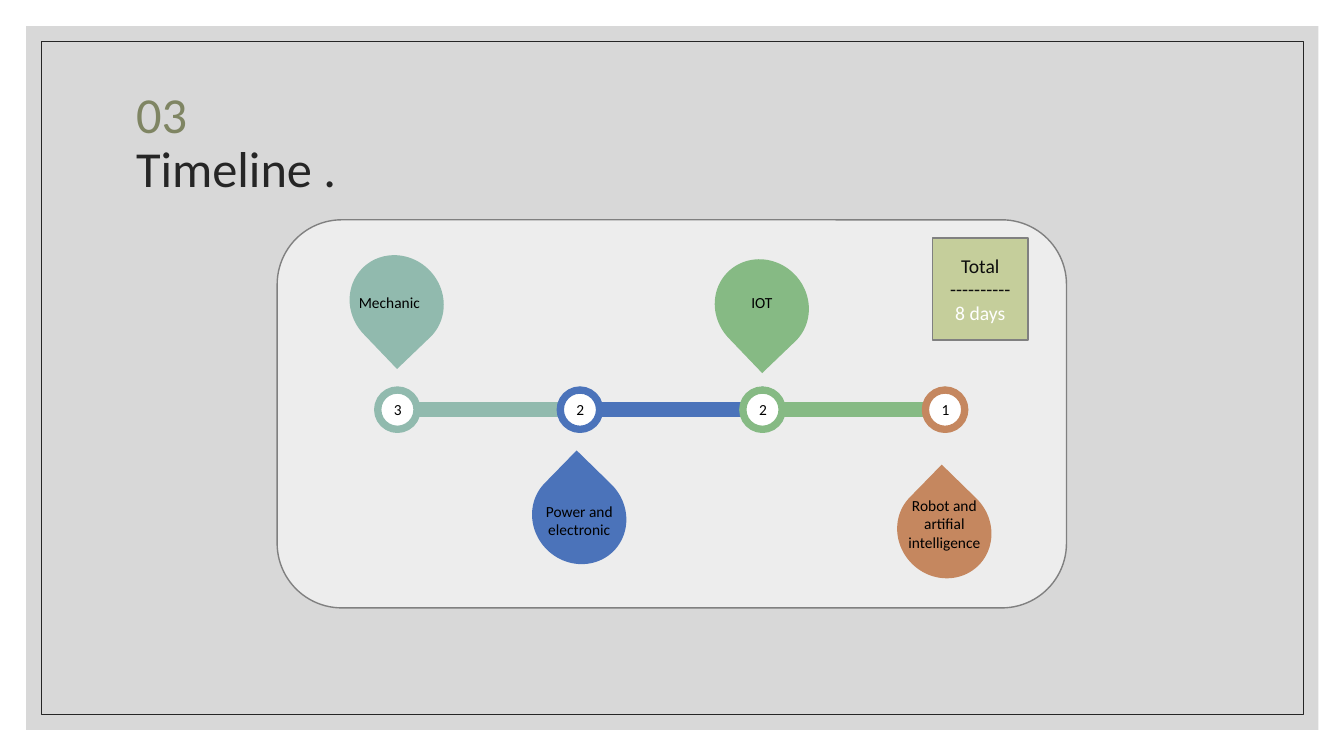
import dataclasses
import pptx
import pptx.dml.color
import pptx.enum.shapes
import pptx.enum.text
import pptx.oxml
import pptx.oxml.ns
import pptx.slide
import pptx.util

Pt = pptx.util.Pt
SHAPE = pptx.enum.shapes.MSO_SHAPE
ALIGN = pptx.enum.text.PP_ALIGN
MIDDLE = pptx.enum.text.MSO_ANCHOR.MIDDLE
NSMAP = pptx.oxml.ns.nsdecls("a")
FONT = "Calibri"
COLORS = {
    "teal": "91BAAE", "blue": "4B73BA", "green": "86BA84", "orange": "C5875F",
    "back": "BFBFBF", "frame": "262626", "panel": "EDEDED", "edge": "808080",
    "olive": "7F8563", "lime": "C5CE9B", "ink": "0D0D0D", "black": "000000",
    "white": "FFFFFF",
}
FIRST, PITCH = 269.8, 130.4
RING_TOP, RING = 278.6, 28.1
DROP_W, DROP_H = 65.5, 69.1


@dataclasses.dataclass
class Stage:
    label: str
    days: str
    color: str
    drop_top: float
    turn: float
    text_top: float
    width: float
    height: float
    align: int = ALIGN.CENTER


STAGES = [
    Stage("Mechanic", "3", "teal", 181.4, 136.2, 205.9, 68.4, 20.9, ALIGN.LEFT),
    Stage("Power and electronic", "2", "blue", 334.8, 314.3, 355, 82.1, 33.8),
    Stage("IOT", "2", "green", 184.3, 136.2, 205.9, 68.4, 20.9),
    Stage("Robot and artifial intelligence", "1", "orange", 344.9, 314.3, 350.6, 82.1, 60.5),
]


def tint(name: str) -> pptx.dml.color.RGBColor:
    return pptx.dml.color.RGBColor.from_string(COLORS[name])


def add_form(slide: pptx.slide.Slide, kind: int, left: float, top: float,
             width: float, height: float, fill: str = "", line: str = "",
             weight: float = 1):
    """Draw a preset shape; an empty colour name means no fill or no line."""
    form = slide.shapes.add_shape(kind, Pt(left), Pt(top), Pt(width), Pt(height))
    form.shadow.inherit = False
    if fill:
        form.fill.solid()
        form.fill.fore_color.rgb = tint(fill)
    else:
        form.fill.background()
    if line:
        form.line.color.rgb = tint(line)
        form.line.width = Pt(weight)
    else:
        form.line.fill.background()
    return form


def add_run(para, text: str, size: float, color: str) -> None:
    run = para.add_run()
    run.text = text
    run.font.name = FONT
    run.font.size = Pt(size)
    run.font.color.rgb = tint(color)


def add_note(slide: pptx.slide.Slide, text: str, left: float, top: float,
             width: float, height: float, align: int) -> None:
    box = slide.shapes.add_textbox(Pt(left), Pt(top), Pt(width), Pt(height))
    box.text_frame.word_wrap = True
    para = box.text_frame.paragraphs[0]
    para.alignment = align
    add_run(para, text, 11, "black")


def add_link(slide: pptx.slide.Slide, start: float, end: float, color: str) -> None:
    """Draw a thick bar with a round end along the middle of the rings."""
    y = Pt(RING_TOP + RING / 2)
    link = slide.shapes.add_connector(
        pptx.enum.shapes.MSO_CONNECTOR.STRAIGHT, Pt(start), y, Pt(end), y)
    link.line.color.rgb = tint(color)
    link.line.width = Pt(11)
    link.line._get_or_add_ln().append(
        pptx.oxml.parse_xml(f'<a:tailEnd {NSMAP} type="oval"/>'))
    link.element.spPr.append(pptx.oxml.parse_xml(f"<a:effectLst {NSMAP}/>"))


def add_frame(slide: pptx.slide.Slide) -> None:
    back = add_form(slide, SHAPE.RECTANGLE, 18.7, 18.7, 923, 502.6, "back")
    shade = back.element.spPr.find(".//" + pptx.oxml.ns.qn("a:srgbClr"))
    shade.append(pptx.oxml.parse_xml(f'<a:alpha {NSMAP} val="60000"/>'))
    add_form(slide, SHAPE.RECTANGLE, 29.5, 29.5, 901.4, 481, "", "frame", 0.5)


def set_title(slide: pptx.slide.Slide) -> None:
    """Fill the title and lift it above the frame."""
    title = slide.shapes.title
    title.left, title.top, title.width, title.height = Pt(90), Pt(49), Pt(792), Pt(108)
    frame = title.text_frame
    frame.auto_size = pptx.enum.text.MSO_AUTO_SIZE.NONE
    frame.vertical_anchor = MIDDLE
    para = frame.paragraphs[0]
    para.alignment = ALIGN.LEFT
    para.line_spacing = 0.9
    add_run(para, "03", 36, "olive")
    para.add_line_break()
    add_run(para, "Timeline .", 36, "frame")
    slide.shapes.element.append(title.element)


def add_total(slide: pptx.slide.Slide) -> None:
    card = add_form(slide, SHAPE.RECTANGLE, 666, 169.9, 68.4, 72.9, "lime", "edge")
    frame = card.text_frame
    frame.vertical_anchor = MIDDLE
    lines = [("Total", "ink"), ("----------", "ink"), ("8 days", "white")]
    for i, (text, color) in enumerate(lines):
        para = frame.add_paragraph() if i else frame.paragraphs[0]
        para.alignment = ALIGN.CENTER
        add_run(para, text, 14, color)


def add_stage(slide: pptx.slide.Slide, stage: Stage, left: float, last: bool) -> None:
    add_form(slide, SHAPE.OVAL, left, RING_TOP, RING, RING, "white", stage.color, 5.25)
    if not last:
        add_link(slide, left + RING, left + PITCH + RING / 2, stage.color)
    drop = add_form(slide, SHAPE.TEAR, left - 19.2, stage.drop_top,
                    DROP_W, DROP_H, stage.color)
    drop.rotation = stage.turn
    add_note(slide, stage.label, left + 13.6 - stage.width / 2, stage.text_top,
             stage.width, stage.height, stage.align)
    add_note(slide, stage.days, left + 4.5, 282.4, RING, 20.9, ALIGN.LEFT)


def main() -> None:
    deck = pptx.Presentation()
    deck.slide_width, deck.slide_height = Pt(960), Pt(540)
    slide = deck.slides.add_slide(deck.slide_layouts[5])
    add_frame(slide)
    set_title(slide)
    add_form(slide, SHAPE.ROUNDED_RECTANGLE, 198, 157, 563.8, 277.2, "panel", "edge")
    for i, stage in enumerate(STAGES):
        add_stage(slide, stage, FIRST + i * PITCH, i == len(STAGES) - 1)
    add_total(slide)
    deck.save("out.pptx")


if __name__ == "__main__":
    main()
